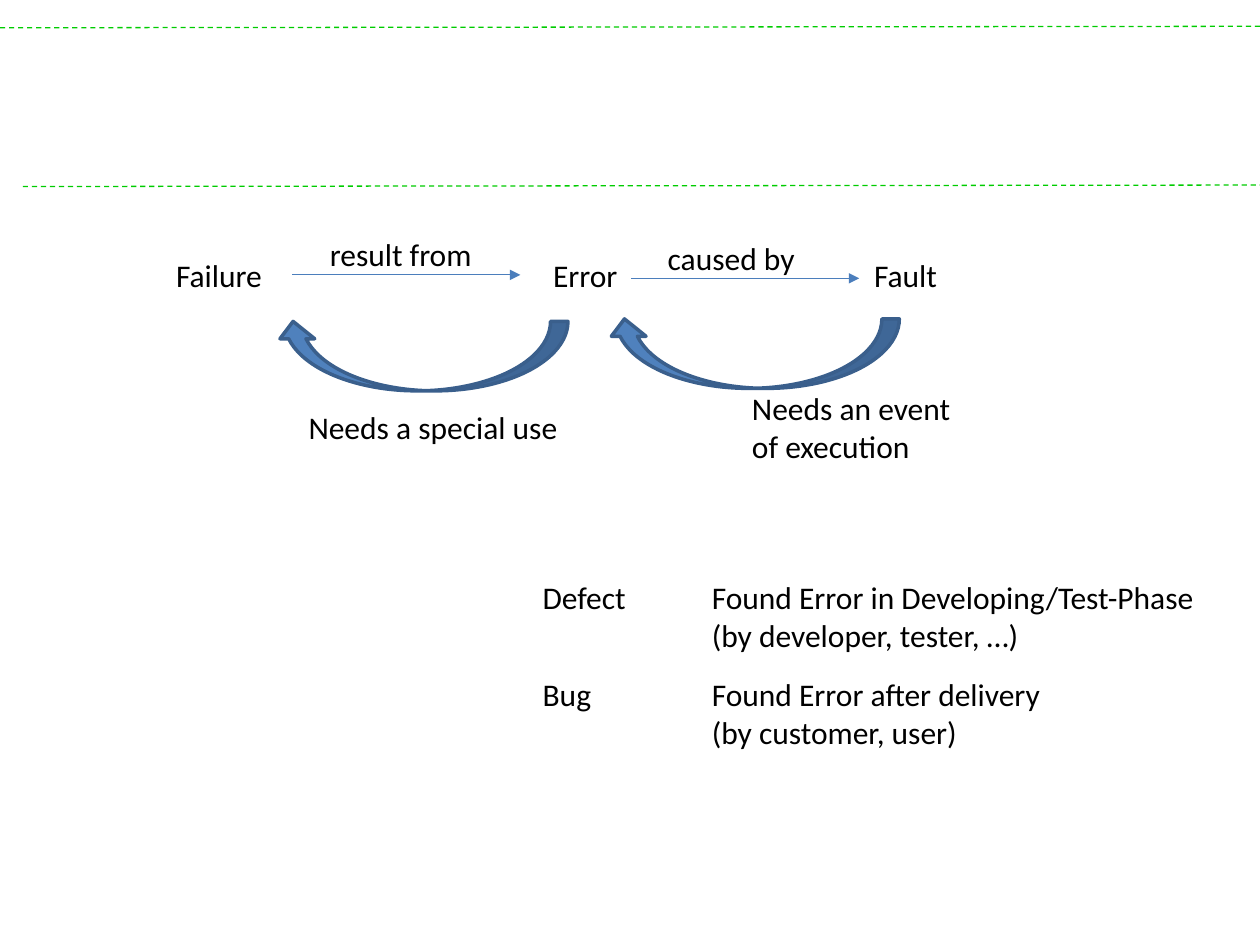
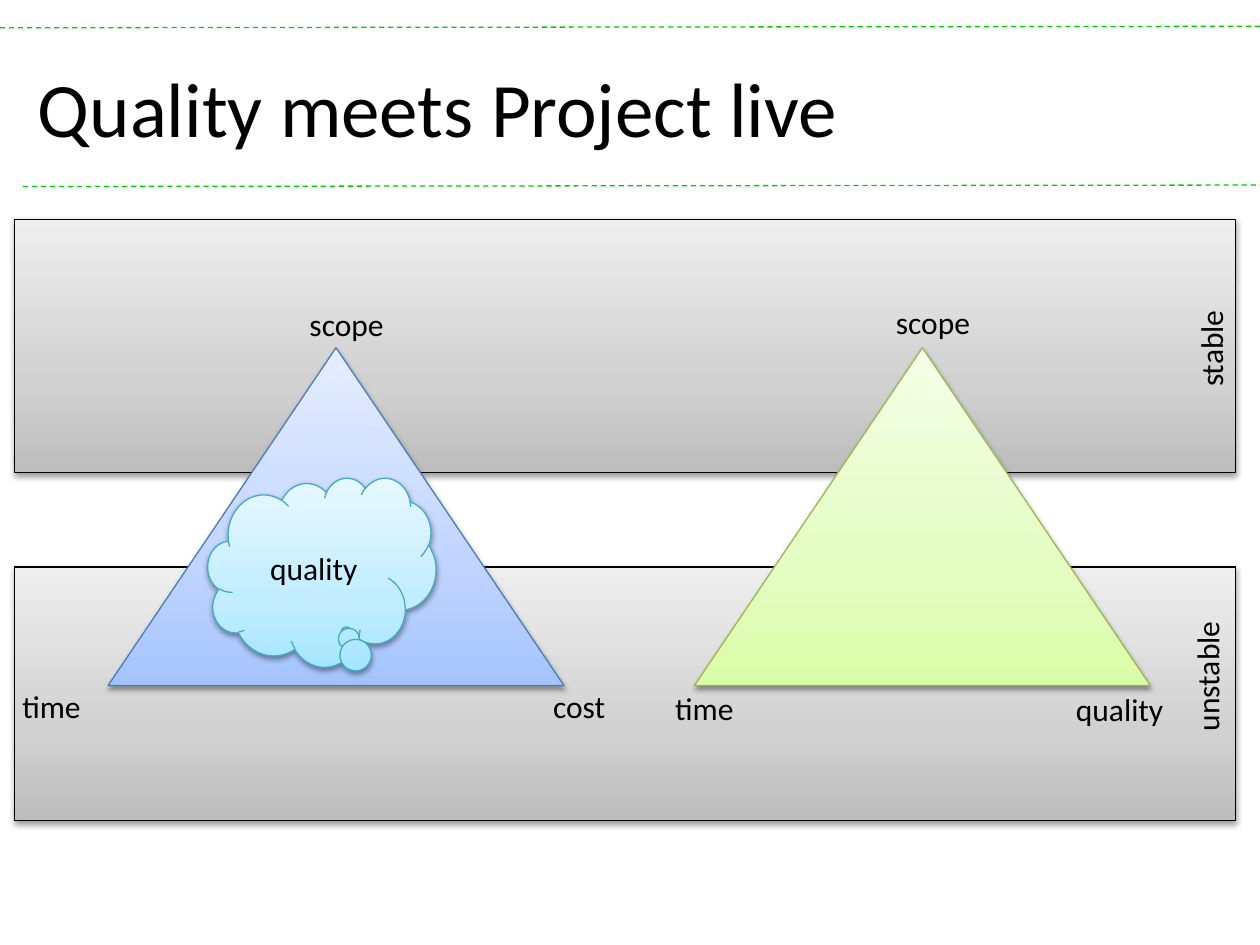
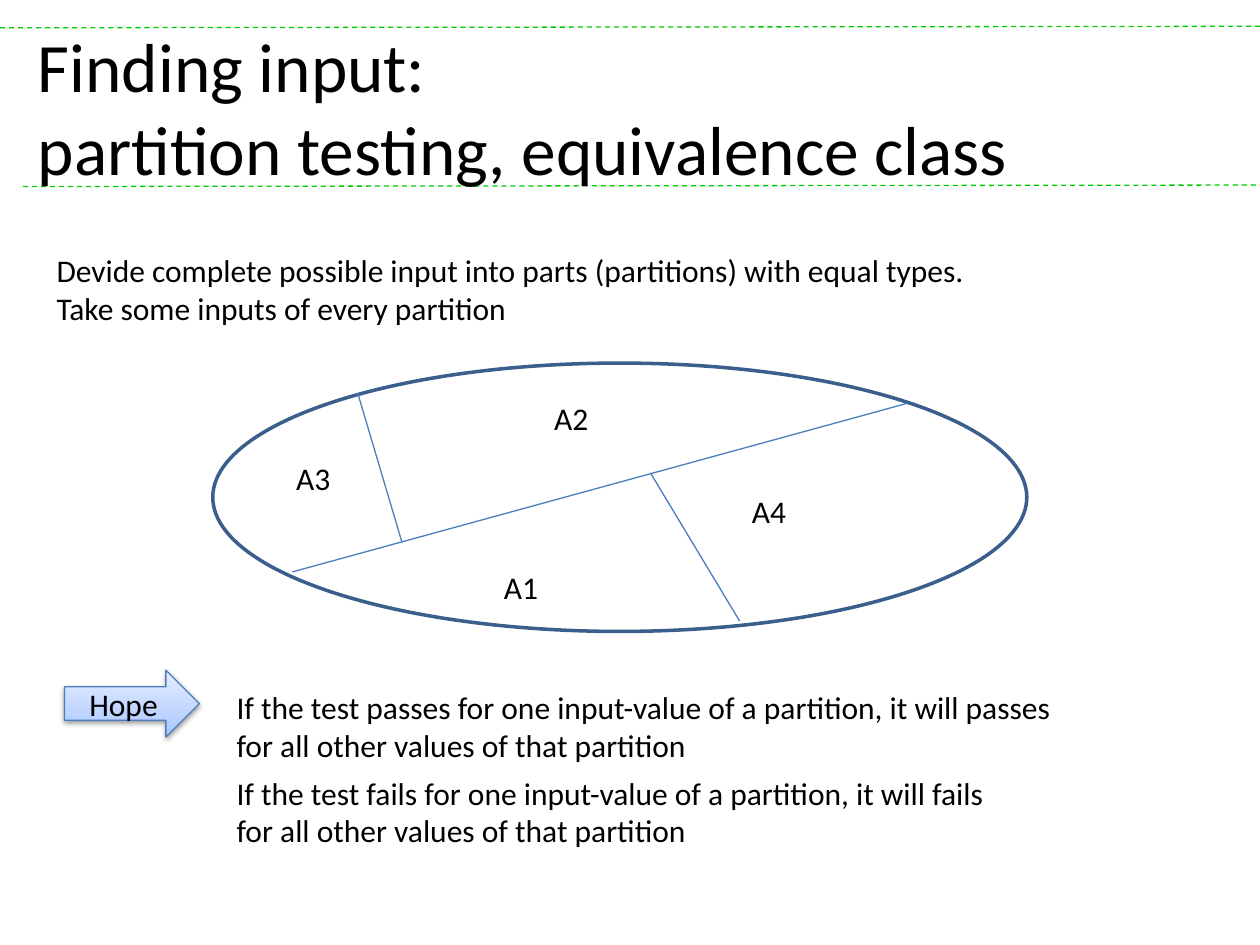
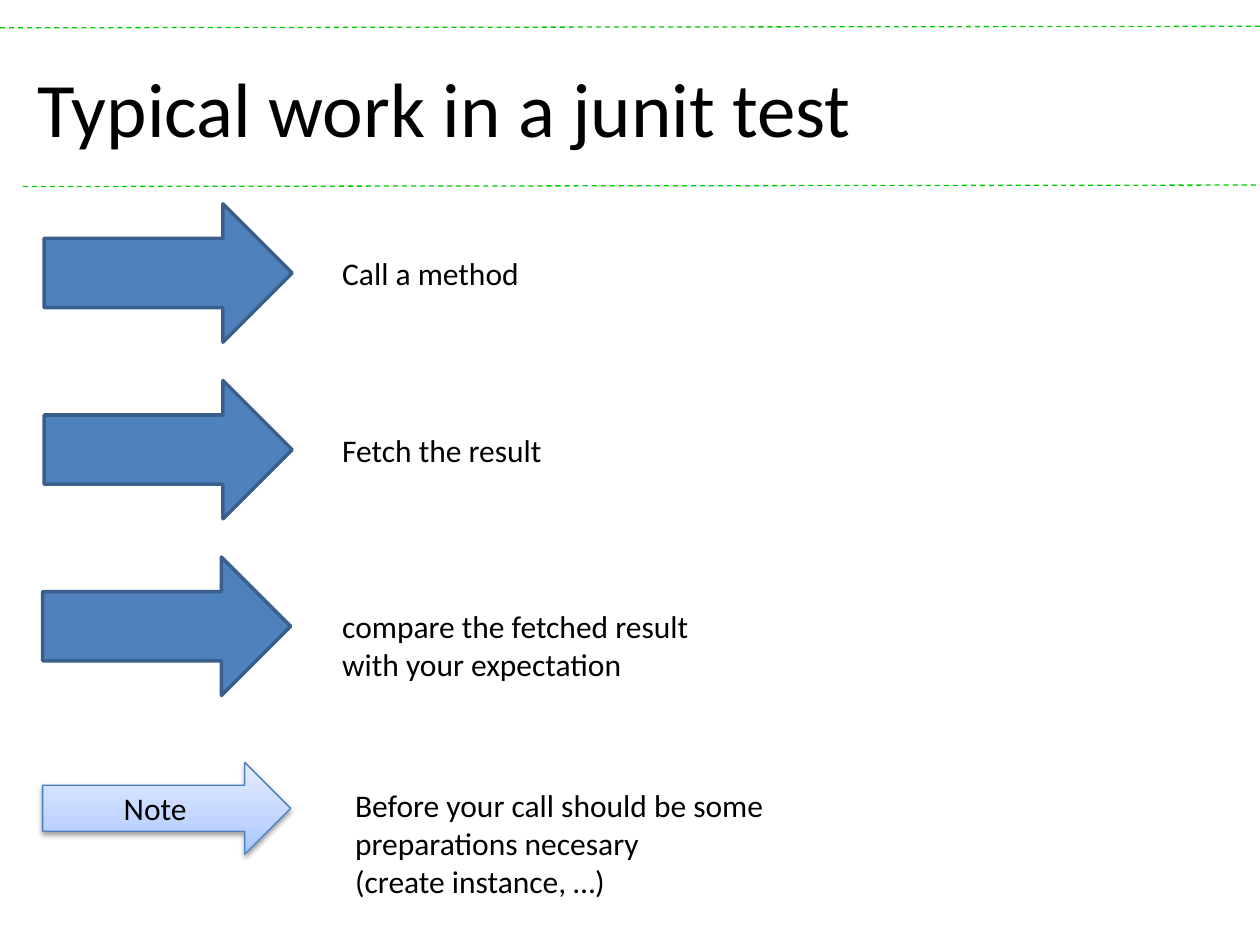
"""Builds four slides on software quality and testing."""
from lxml.etree import SubElement
from pptx import Presentation
from pptx.dml.color import RGBColor
from pptx.enum.dml import MSO_LINE
from pptx.enum.shapes import MSO_CONNECTOR, MSO_SHAPE
from pptx.enum.text import MSO_ANCHOR, MSO_AUTO_SIZE, PP_ALIGN
from pptx.oxml.ns import qn
from pptx.util import Cm, Pt

FONT = "Calibri"
COLORS = {
    "text": "000000",
    "rule": "00CC00",
    "accent": "4F81BD",
    "accent_edge": "3A5F8C",
    "thin": "4B7EBC",
    "green_edge": "98B955",
    "aqua_edge": "46AAC5",
}
GRADIENTS = {
    "gray": ("BDBDBD", "D1D1D1", "EEEEEE"),
    "blue": ("A4C4FF", "BFD4FF", "E6EEFF"),
    "green": ("DAFDA7", "E4FCC2", "F5FFE7"),
    "aqua": ("A7E6FF", "C1EDFF", "E7F8FF"),
}
STOPS = (0, 35000, 100000)
TITLE_ONLY, BLANK = 5, 6


def rgb(name):
    return RGBColor.from_string(COLORS[name])


def write(frame, text, size=18, align=PP_ALIGN.LEFT):
    paragraph = frame.paragraphs[0]
    paragraph.text = text
    paragraph.alignment = align
    paragraph.font.name = FONT
    paragraph.font.size = Pt(size)
    paragraph.font.color.rgb = rgb("text")


def add_title(slide, text, size=44):
    title = slide.shapes.title
    title.left, title.top, title.width, title.height = Cm(0.51), Cm(0.56), Cm(24.61), Cm(3.18)
    title.text_frame.vertical_anchor = MSO_ANCHOR.MIDDLE
    title.text_frame.auto_size = MSO_AUTO_SIZE.NONE
    write(title.text_frame, text, size)


def add_label(slide, text, left, top, width, rotation=0):
    height = 0.25 + 0.77 * len(text.splitlines())
    label = slide.shapes.add_textbox(Cm(left), Cm(top), Cm(width), Cm(height))
    label.rotation = rotation
    label.text_frame.word_wrap = False
    label.text_frame.auto_size = MSO_AUTO_SIZE.SHAPE_TO_FIT_TEXT
    write(label.text_frame, text)


def add_line(slide, start, end, color="thin", dashed=False, arrow=False):
    line = slide.shapes.add_connector(
        MSO_CONNECTOR.STRAIGHT, *(Cm(value) for value in (*start, *end)))
    line.line.color.rgb = rgb(color)
    line.line.width = Pt(0.75)
    if dashed:
        line.line.dash_style = MSO_LINE.DASH
    properties = line.element.spPr
    if arrow:
        SubElement(properties.find(qn("a:ln")), qn("a:tailEnd"), type="triangle")
    SubElement(properties, qn("a:effectLst"))
    return line


def add_figure(slide, kind, box, edge="accent_edge", weight=2):
    figure = slide.shapes.add_shape(kind, *(Cm(value) for value in box))
    figure.shadow.inherit = False
    figure.line.color.rgb = rgb(edge)
    figure.line.width = Pt(weight)
    return figure


def add_solid(slide, kind, box):
    figure = add_figure(slide, kind, box)
    figure.fill.solid()
    figure.fill.fore_color.rgb = rgb("accent")
    return figure


def add_glossy(slide, kind, box, gradient, edge, text=""):
    figure = add_figure(slide, kind, box, edge, 0.75)
    figure.fill.gradient()
    figure.fill.gradient_angle = 90
    properties = figure.element.spPr
    stops = properties.find(qn("a:gradFill")).find(qn("a:gsLst"))
    stops.clear()
    for position, color in zip(STOPS, GRADIENTS[gradient]):
        stop = SubElement(stops, qn("a:gs"), pos=str(position))
        SubElement(stop, qn("a:srgbClr"), val=color)
    shadow = SubElement(
        properties.find(qn("a:effectLst")), qn("a:outerShdw"),
        blurRad="40000", dist="20000", dir="5400000", rotWithShape="0")
    shade = SubElement(shadow, qn("a:srgbClr"), val=COLORS["text"])
    SubElement(shade, qn("a:alpha"), val="38000")
    if text:
        write(figure.text_frame, text, align=PP_ALIGN.CENTER)
    return figure


def add_master_rules(prs, slide):
    rules = (((0, 0.56), (25.4, 0.53)), ((0.46, 3.76), (25.45, 3.73)))
    for number, (start, end) in enumerate(rules, 101):
        rule = add_line(slide, start, end, "rule", dashed=True).element
        rule.nvCxnSpPr.cNvPr.id = number
        prs.slide_master.shapes.element.append(rule)


def build_terms(slide):
    for left, top in ((12.24, 6.43), (5.56, 6.48)):
        back_arrow = add_solid(slide, MSO_SHAPE.CURVED_UP_ARROW, (left, top, 5.89, 1.4))
        back_arrow.element.spPr.xfrm.set("flipH", "1")
    for left, right, level in ((5.89, 10.49, 5.54), (12.73, 17.32, 5.61)):
        add_line(slide, (left, level), (right, level), arrow=True)
    for label in (
        ("Failure", 3.3, 5.03, 2.26),
        ("Error", 10.9, 5.03, 1.83),
        ("result from", 6.4, 4.62, 3.68),
        ("Fault", 17.37, 5.03, 1.8),
        ("caused by", 13.21, 4.7, 3.25),
        ("Needs an event\nof execution", 14.91, 7.72, 4.57),
        ("Needs a special use", 5.97, 8.1, 5.59),
        ("Defect", 10.69, 11.53, 2.21),
        ("Bug", 10.69, 13.49, 1.5),
        ("Found Error in Developing/Test-Phase\n(by developer, tester, …)", 14.1, 11.53, 10.36),
        ("Found Error after delivery\n(by customer, user)", 14.1, 13.49, 7.21),
    ):
        add_label(slide, *label)


def build_quality(slide):
    add_title(slide, "Quality meets Project live")
    for top in (4.42, 11.43):
        add_glossy(slide, MSO_SHAPE.RECTANGLE, (0.3, top, 24.61, 5.11), "gray", "text")
    for left, gradient, edge in ((2.18, "blue", "thin"), (14, "green", "green_edge")):
        add_glossy(slide, MSO_SHAPE.ISOSCELES_TRIANGLE, (left, 7.01, 9.19, 6.81), gradient, edge)
    cloud = add_glossy(slide, MSO_SHAPE.CLOUD_CALLOUT, (4.19, 9.63, 4.6, 3.81),
                       "aqua", "aqua_edge", "quality")
    cloud.adjustments[0], cloud.adjustments[1] = 0.107, 0.318
    for label in (
        ("scope", 5.99, 6.02, 2.03),
        ("time", 0.2, 13.72, 1.7),
        ("cost", 10.9, 13.72, 1.57),
        ("stable", 23.37, 6.5, 2.08, 270),
        ("unstable", 22.96, 13.11, 2.74, 270),
        ("scope", 17.81, 5.99, 2.03),
        ("quality", 21.44, 13.79, 2.29),
        ("time", 13.36, 13.77, 1.7),
    ):
        add_label(slide, *label)


def build_partitions(slide):
    add_title(slide, "Finding input:\npartition testing, equivalence class", 39.6)
    add_label(slide, "Devide complete possible input into parts (partitions) with equal types.\n"
              "Take some inputs of every partition", 0.89, 4.93, 19.05)
    input_space = add_figure(slide, MSO_SHAPE.OVAL, (4.29, 7.32, 16.41, 5.41))
    input_space.fill.background()
    for start, end in (
        ((5.89, 11.53), (18.29, 8.13)),
        ((13.11, 9.53), (14.91, 12.52)),
        ((8.1, 10.92), (7.21, 7.92)),
    ):
        add_line(slide, start, end)
    centers = ((9.91, 11.33), (10.92, 7.92), (5.72, 9.12), (14.91, 9.8))
    for number, (left, top) in enumerate(centers, 1):
        add_label(slide, f"A{number}", left, top, 1.22)
    add_glossy(slide, MSO_SHAPE.RIGHT_ARROW, (1.3, 13.51, 2.72, 1.35), "blue", "thin", "Hope")
    for verb, top, width in (("passes", 13.74, 17.15), ("fails", 15.47, 15.8)):
        add_label(slide, f"If the test {verb} for one input-value of a partition, it will {verb}\n"
                  "for all other values of that partition", 4.52, top, width)


def build_junit(slide):
    add_title(slide, "Typical work in a junit test")
    steps = (
        ("Call a method", 0.89, 4.11),
        ("Fetch the result", 0.89, 4.57),
        ("compare the fetched result\nwith your expectation", 0.86, 7.57),
    )
    for row, (step, left, width) in enumerate(steps):
        offset = 3.56 * row
        add_solid(slide, MSO_SHAPE.RIGHT_ARROW, (left, 4.11 + offset, 5, 2.79))
        add_label(slide, step, 6.65, 5 + offset, width)
    add_glossy(slide, MSO_SHAPE.RIGHT_ARROW, (0.86, 15.37, 5, 1.85), "blue", "thin", "Note")
    add_label(slide, "Before your call should be some\npreparations necesary\n"
              "(create instance, …)", 6.91, 15.72, 8.84)


def main():
    prs = Presentation()
    prs.slide_width, prs.slide_height = Cm(25.4), Cm(19.05)
    terms = prs.slides.add_slide(prs.slide_layouts[BLANK])
    add_master_rules(prs, terms)
    build_terms(terms)
    for build in (build_quality, build_partitions, build_junit):
        build(prs.slides.add_slide(prs.slide_layouts[TITLE_ONLY]))
    prs.save("out.pptx")


if __name__ == "__main__":
    main()
